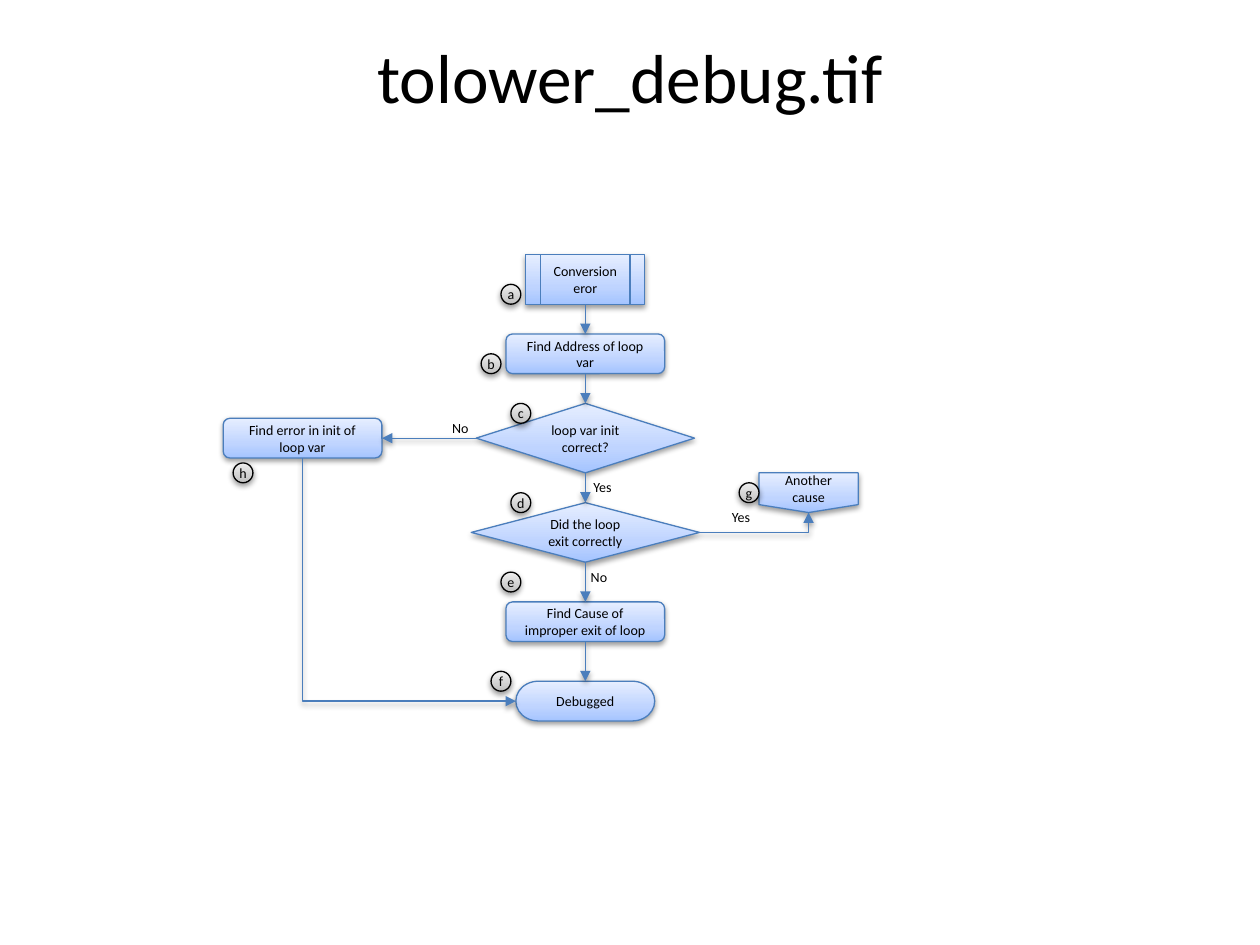
from pptx import Presentation
from pptx.dml.color import RGBColor
from pptx.enum.shapes import MSO_CONNECTOR as CONN, MSO_SHAPE as SHP
from pptx.enum.text import MSO_ANCHOR, MSO_AUTO_SIZE, PP_ALIGN
from pptx.oxml import parse_xml
from pptx.oxml.ns import nsdecls, qn
from pptx.util import Pt
from copy import deepcopy

UNIT, CENTER, TOP = 5.67, 334.5, 145.5
BLUE = ("A4C4FF", "BFD4FF", "E6EEFF")
GRAY = ("BDBDBD", "D1D1D1", "EEEEEE")
SHADOW = (f'<a:effectLst {nsdecls("a")}><a:outerShdw blurRad="40000" dist="20000" '
          'dir="5400000" rotWithShape="0"><a:srgbClr val="000000"><a:alpha val="38000"/>'
          '</a:srgbClr></a:outerShdw></a:effectLst>')


def rgb(color):
    return RGBColor.from_string(color)


def write(s, text, size, align, **frame):
    tf = s.text_frame
    for name, value in frame.items():
        setattr(tf, name, value)
    p = tf.paragraphs[0]
    p.alignment = align
    r = p.add_run()
    r.text = text
    for name, value in {"name": "Calibri", "size": Pt(size)}.items():
        setattr(r.font, name, value)
    r.font.color.rgb = rgb("000000")


prs = Presentation()
prs.slide_width, prs.slide_height = Pt(720), Pt(540)
slide = prs.slides.add_slide(prs.slide_layouts[6])

title = slide.shapes.add_textbox(Pt(36), Pt(21.6), Pt(648), Pt(43.9))
write(title, "tolower_debug.tif", 39.6, PP_ALIGN.CENTER,
      word_wrap=True, vertical_anchor=MSO_ANCHOR.MIDDLE)

labels = [("Yes", 332, 270, 26), ("No", 251.3, 236.2, 23.8),
          ("No", 330.5, 321.1, 23.8), ("Yes", 411.1, 287.3, 26)]
for text, x, y, w in labels:
    label = slide.shapes.add_textbox(Pt(x), Pt(y), Pt(w), Pt(17))
    write(label, text, 8, PP_ALIGN.LEFT, word_wrap=False,
          auto_size=MSO_AUTO_SIZE.SHAPE_TO_FIT_TEXT)

STEP = SHP.FLOWCHART_ALTERNATE_PROCESS
steps = [
    ("Conversion eror", SHP.FLOWCHART_PREDEFINED_PROCESS, 0, 0, 12, 5),
    ("Find Address of loop var", STEP, 0, 8, 16, 4),
    ("loop var init correct?", SHP.FLOWCHART_DECISION, 0, 15, 22, 7),
    ("Did the loop exit correctly", SHP.FLOWCHART_DECISION, 0, 25, 23, 6),
    ("Find Cause of improper exit of loop", STEP, 0, 35, 16, 4),
    ("Debugged", SHP.FLOWCHART_TERMINATOR, 0, 43, 14, 4),
    ("Find error in init of loop var", STEP, -28.5, 16.5, 16, 4),
    ("Another cause", SHP.FLOWCHART_OFFPAGE_CONNECTOR, 22.5, 22, 10, 4),
]
markers = [("a", -7.5, 3), ("b", -9.5, 10), ("c", -6.5, 15), ("d", -6.5, 24),
           ("e", -7.5, 32), ("f", -8.5, 42), ("g", 16.5, 23), ("h", -34.5, 21)]
nodes = [(*step, BLUE, "4B7EBC") for step in steps]
nodes += [(text, SHP.FLOWCHART_CONNECTOR, mid, top, 2, 2, GRAY, "000000")
          for text, mid, top in markers]
for text, kind, mid, top, w, h, colors, outline in nodes:
    s = slide.shapes.add_shape(kind, Pt(CENTER + (mid - w / 2) * UNIT),
                               Pt(TOP + top * UNIT), Pt(w * UNIT), Pt(h * UNIT))
    s.fill.gradient()
    s.fill.gradient_angle = 90
    stop_list = s._element.spPr.find(qn("a:gradFill")).find(qn("a:gsLst"))
    stop_list.append(deepcopy(stop_list[0]))
    for stop, position, color in zip(s.fill.gradient_stops, (0, 0.35, 1), colors):
        stop.position = position
        stop.color.rgb = rgb(color)
    s.line.color.rgb = rgb(outline)
    s.line.width = Pt(0.75)
    s._element.spPr.append(parse_xml(SHADOW))
    write(s, text, 8, PP_ALIGN.CENTER, vertical_anchor=MSO_ANCHOR.MIDDLE)

flow = steps[:6]
arrows = [(CONN.STRAIGHT, 0, upper[3] + upper[5], 0, lower[3], 0)
          for upper, lower in zip(flow, flow[1:])]
arrows += [(CONN.STRAIGHT, -11, 18.5, -20.5, 18.5, 0),
           (CONN.ELBOW, -5.5, 22, -30, 43.5, 270),
           (CONN.ELBOW, 11.5, 28, 22.5, 26, 0)]
for kind, x1, y1, x2, y2, turn in arrows:
    arrow = slide.shapes.add_connector(
        kind, Pt(CENTER + x1 * UNIT), Pt(TOP + y1 * UNIT),
        Pt(CENTER + x2 * UNIT), Pt(TOP + y2 * UNIT))
    arrow.line.color.rgb = rgb("4B7EBC")
    arrow.line.width = Pt(0.75)
    props = arrow._element.spPr
    if kind == CONN.ELBOW:
        props.find(qn("a:prstGeom")).set("prst", "bentConnector2")
        props.find(qn("a:xfrm")).set("rot", str(turn * 60000))
    props.find(qn("a:ln")).append(parse_xml(f'<a:tailEnd {nsdecls("a")} type="triangle"/>'))
    props.append(parse_xml(SHADOW))

prs.save("out.pptx")
